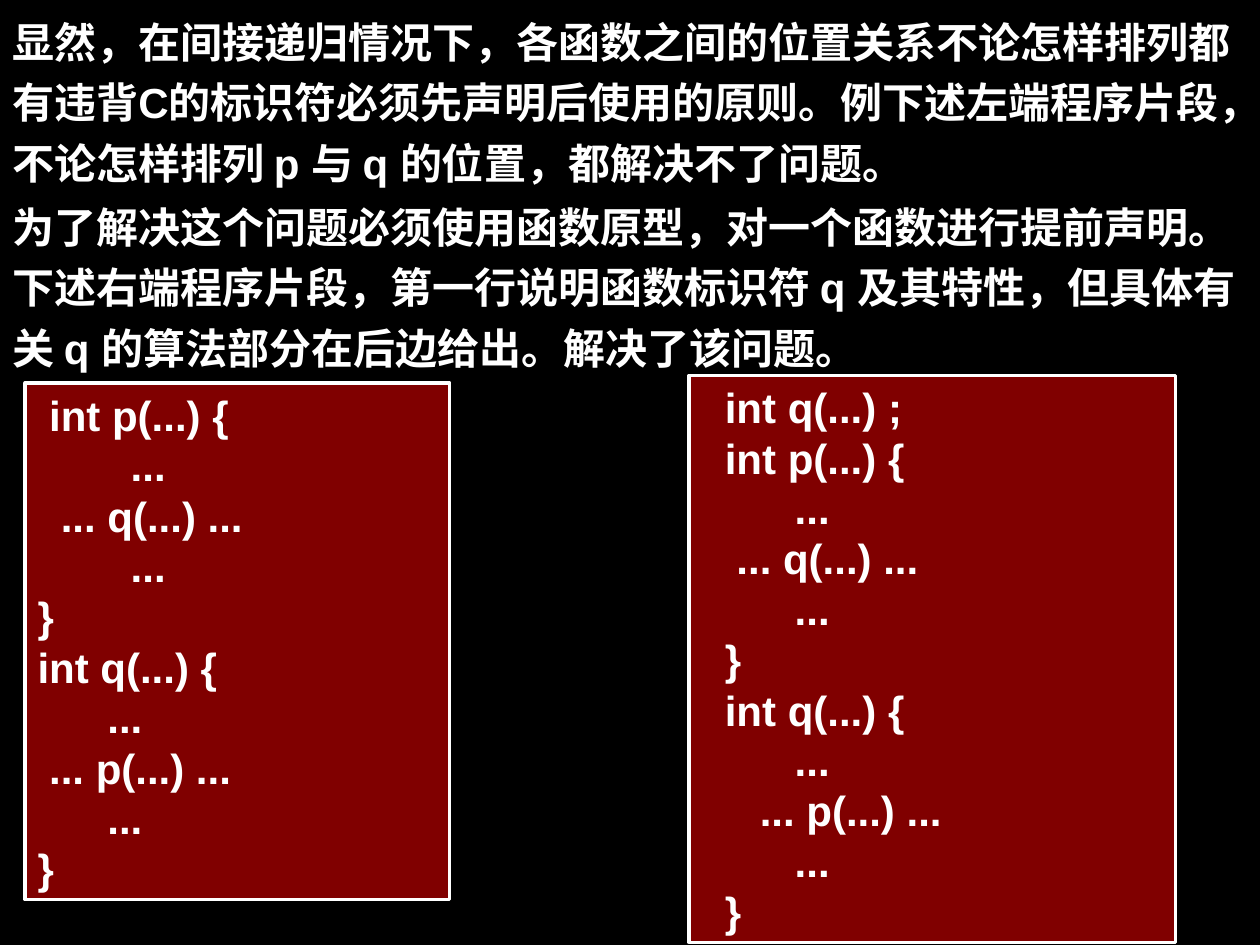
"""Build a slide on function prototypes for indirect recursion in C."""
import pptx
import pptx.dml.color
import pptx.enum.shapes
import pptx.enum.text
import pptx.util

Inches = pptx.util.Inches
Pt = pptx.util.Pt
BLACK = pptx.dml.color.RGBColor(0x00, 0x00, 0x00)
WHITE = pptx.dml.color.RGBColor(0xFF, 0xFF, 0xFF)
MAROON = pptx.dml.color.RGBColor(0x80, 0x00, 0x00)

PROSE = [
    (0, "显然，在间接递归情况下，各函数之间的位置关系不论怎样排列都有违背C的标识符必须先声明后使用的原则。"
        "例下述左端程序片段，不论怎样排列 p 与 q 的位置，都解决不了问题。"),
    (1.47, "为了解决这个问题必须使用函数原型，对一个函数进行提前声明。"
           "下述右端程序片段，第一行说明函数标识符 q 及其特性，但具体有关 q 的算法部分在后边给出。解决了该问题。"),
]

CODE = [
    ((0.2, 3.04, 3.37, 4.1), [
        " int p(...) {",
        "        ...",
        "  ... q(...) ...",
        "        ...",
        "}",
        "int q(...) {",
        "      ...",
        " ... p(...) ...",
        "      ...",
        "}",
    ]),
    ((5.47, 2.98, 3.86, 4.5), [
        "  int q(...) ;",
        "  int p(...) {",
        "        ...",
        "   ... q(...) ...",
        "        ...",
        "  }",
        "  int q(...) {",
        "        ...",
        "     ... p(...) ...",
        "        ...",
        "  }",
    ]),
]


def write(shape, text, space):
    frame = shape.text_frame
    frame.word_wrap = True
    frame.vertical_anchor = pptx.enum.text.MSO_ANCHOR.TOP
    frame.text = text
    for para in frame.paragraphs:
        para.alignment = pptx.enum.text.PP_ALIGN.LEFT
        para.line_spacing = space
        for run in para.runs:
            run.font.name = "Arial"
            run.font.size = Pt(24)
            run.font.bold = True
            run.font.color.rgb = WHITE


def add_prose(slide, top, text):
    box = slide.shapes.add_textbox(0, Inches(top), Inches(10), Inches(1.54))
    write(box, text, 1.2)


def add_code(slide, place, lines):
    panel = slide.shapes.add_shape(
        pptx.enum.shapes.MSO_SHAPE.RECTANGLE, *map(Inches, place))
    panel.shadow.inherit = False
    panel.fill.solid()
    panel.fill.fore_color.rgb = MAROON
    panel.line.color.rgb = WHITE
    panel.line.width = Pt(2)
    write(panel, "\n".join(lines), 1.0)


def main():
    deck = pptx.Presentation()
    deck.slide_width, deck.slide_height = Inches(10), Inches(7.5)
    slide = deck.slides.add_slide(deck.slide_layouts[6])
    slide.background.fill.solid()
    slide.background.fill.fore_color.rgb = BLACK
    for (top, text), (place, lines) in zip(PROSE, CODE):
        add_prose(slide, top, text)
        add_code(slide, place, lines)
    deck.save("out.pptx")


if __name__ == "__main__":
    main()
